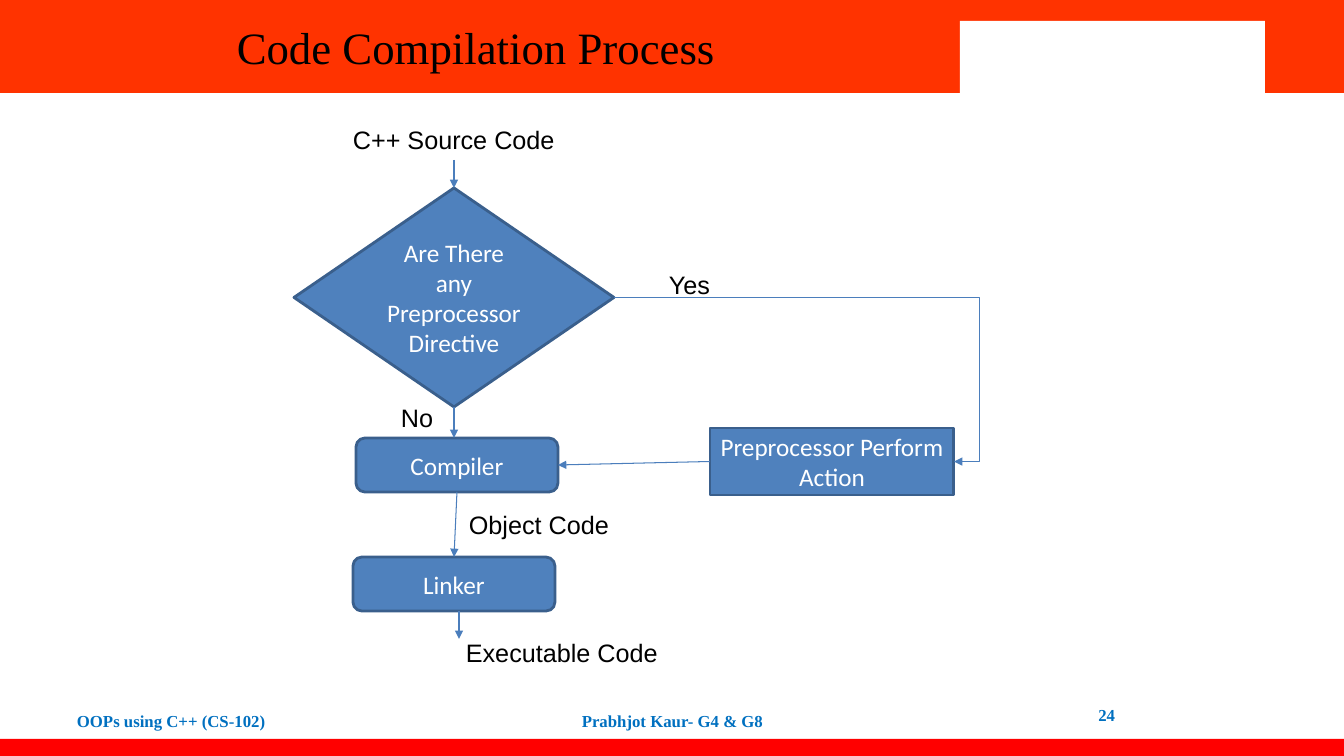
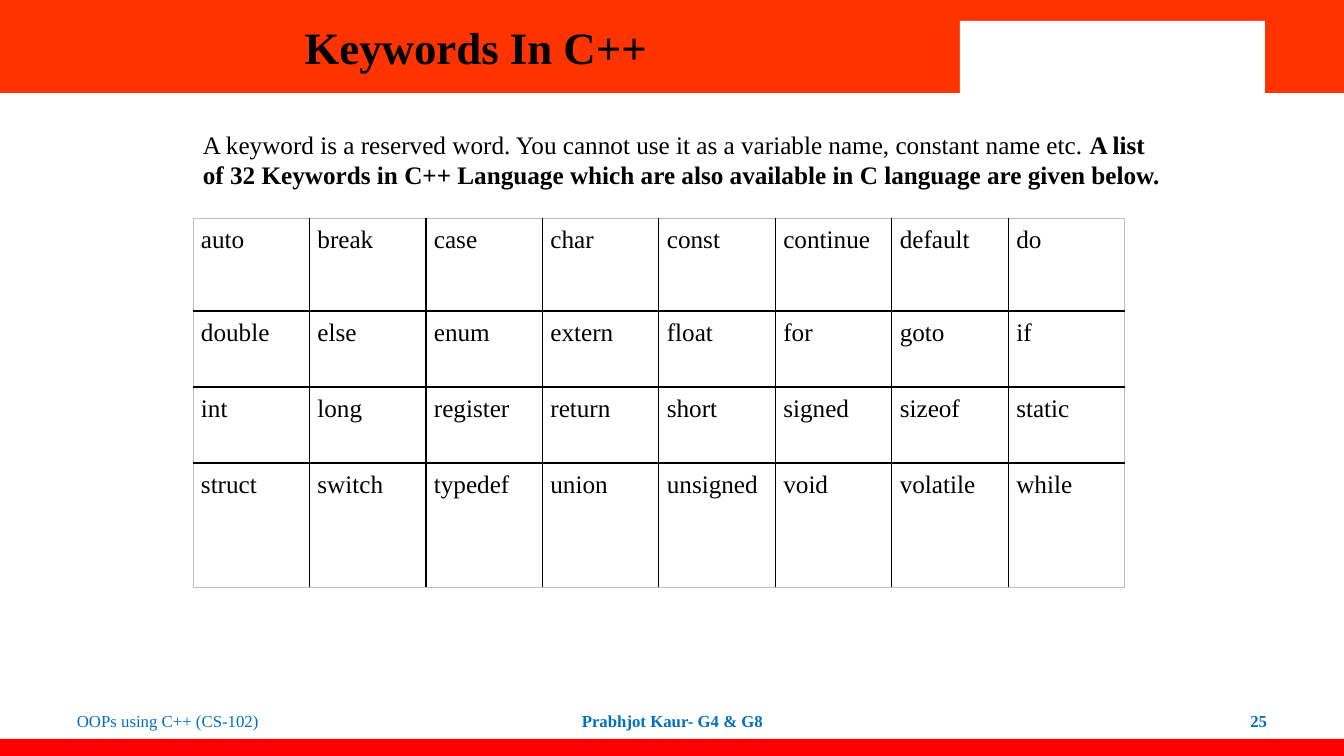
from lxml.etree import SubElement
from pptx import Presentation
from pptx.dml.color import RGBColor
from pptx.enum.shapes import MSO_CONNECTOR, MSO_SHAPE
from pptx.enum.text import MSO_ANCHOR, PP_ALIGN
from pptx.oxml.ns import qn
from pptx.util import Emu, Pt

ORANGE = RGBColor(0xFF, 0x33, 0x00)
RED = RGBColor(0xFF, 0x00, 0x00)
WHITE = RGBColor(0xFF, 0xFF, 0xFF)
BLACK = RGBColor(0x00, 0x00, 0x00)
GREY = RGBColor(0xBF, 0xBF, 0xBF)
BLUE = RGBColor(0x4F, 0x81, 0xBD)
EDGE = RGBColor(0x3A, 0x5F, 0x8C)
WIRE = RGBColor(0x4B, 0x7E, 0xBC)
NOTE = RGBColor(0x00, 0x70, 0xC0)

SERIF = "Times New Roman"
SANS = "Arial"
BODY = "Calibri"

LEFT, MID, RIGHT = PP_ALIGN.LEFT, PP_ALIGN.CENTER, PP_ALIGN.RIGHT
TOP, SIDE, BASE, END = range(4)

BANDS = [
    ((0, 0, 1344, 93), ORANGE),
    ((0, 739, 1344, 17), RED),
    ((903, 0, 441, 93), ORANGE),
    ((960, 21, 305, 75), WHITE),
]

WORDS = [
    "auto break case char const continue default do",
    "double else enum extern float for goto if",
    "int long register return short signed sizeof static",
    "struct switch typedef union unsigned void volatile while",
]


def px(n):
    return Emu(round(n * 914400 / 100.8))


class Deck:
    def __init__(self):
        self.prs = Presentation()
        self.prs.slide_width = px(1344)
        self.prs.slide_height = px(756)
        self.plan = self.prs.slide_layouts[5]
        self.slide = None

    def bands(self):
        first = self.plan.placeholders[0].element
        for num, (area, fill) in enumerate(BANDS, 20):
            band = self.shape(MSO_SHAPE.RECTANGLE, area, fill)
            band.element.xpath("p:nvSpPr/p:cNvPr")[0].set("id", str(num))
            first.addprevious(band.element)

    def page(self, title, bold=False):
        fresh = self.slide is None
        self.slide = self.prs.slides.add_slide(self.plan)
        if fresh:
            self.bands()
        head = self.slide.shapes.title
        head.left, head.top, head.width, head.height = map(px, (0, 0, 952, 93))
        self.put(head.text_frame, [(title, bold)], SERIF, 32, BLACK, MID,
                 MSO_ANCHOR.MIDDLE)

    def put(self, frame, runs, font, size, ink, align, anchor):
        frame.word_wrap = True
        frame.vertical_anchor = anchor
        para = frame.paragraphs[0]
        para.alignment = align
        for words, bold in runs:
            run = para.add_run()
            run.text = words
            run.font.name = font
            run.font.size = Pt(size)
            run.font.bold = bold
            run.font.color.rgb = ink

    def text(self, area, runs, font=SANS, size=18, ink=BLACK, align=LEFT,
             anchor=MSO_ANCHOR.TOP):
        box = self.slide.shapes.add_textbox(*map(px, area))
        self.put(box.text_frame, runs, font, size, ink, align, anchor)

    def shape(self, kind, area, fill):
        item = self.slide.shapes.add_shape(kind, *map(px, area))
        item.shadow.inherit = False
        item.fill.solid()
        item.fill.fore_color.rgb = fill
        item.line.fill.background()
        return item

    def node(self, kind, area, words):
        item = self.shape(kind, area, BLUE)
        item.line.color.rgb = EDGE
        item.line.width = Pt(2)
        self.put(item.text_frame, [(words, False)], BODY, 18, WHITE, MID,
                 MSO_ANCHOR.MIDDLE)
        return item

    def arrow(self, ends, start=None, stop=None, bend=None):
        kind = MSO_CONNECTOR.ELBOW if bend else MSO_CONNECTOR.STRAIGHT
        wire = self.slide.shapes.add_connector(kind, *map(px, ends))
        if start:
            wire.begin_connect(*start)
        if stop:
            wire.end_connect(*stop)
        wire.line.color.rgb = WIRE
        wire.line.width = Pt(0.75)
        SubElement(wire.get_or_add_ln(), qn("a:tailEnd"), type="triangle")
        props = wire.element.spPr
        SubElement(props, qn("a:effectLst"))
        if bend:
            geom = props.find(qn("a:prstGeom"))
            rules = geom.find(qn("a:avLst"))
            if rules is None:
                rules = SubElement(geom, qn("a:avLst"))
            SubElement(rules, qn("a:gd"), name="adj1", fmla=f"val {bend}")

    def border(self, props, side, ink, width):
        line = SubElement(props, qn(f"a:ln{side}"), w=str(Pt(width)))
        fill = SubElement(line, qn("a:solidFill"))
        SubElement(fill, qn("a:srgbClr"), val=str(ink))

    def table(self, area, rows, highs):
        cols = len(rows[0])
        frame = self.slide.shapes.add_table(len(rows), cols, *map(px, area))
        grid = frame.table
        grid.first_row = grid.horz_banding = False
        for row, high in zip(grid.rows, highs):
            row.height = px(high)
        tags = frame.element.iter(qn("a:tc"))
        for num, (cell, tag) in enumerate(zip(grid.iter_cells(), tags)):
            r, c = divmod(num, cols)
            cell.margin_left = cell.margin_right = px(8)
            cell.margin_top = cell.margin_bottom = px(8)
            self.put(cell.text_frame, [(rows[r][c], False)], SERIF, 18,
                     BLACK, PP_ALIGN.JUSTIFY, MSO_ANCHOR.TOP)
            outer = {"L": c == 0, "R": c == cols - 1,
                     "T": r == 0, "B": r == len(rows) - 1}
            for side, rim in outer.items():
                ink, width = (GREY, 0.5) if rim else (BLACK, 1)
                self.border(tag.get_or_add_tcPr(), side, ink, width)
            cell.fill.background()

    def foot(self, num, area, bold):
        parts = [
            ((67, 701, 313, 40), "OOPs using C++ (CS-102)", bold, LEFT),
            ((460, 701, 425, 40), "Prabhjot Kaur- G4 & G8", True, MID),
            (area, num, True, RIGHT),
        ]
        for spot, words, heavy, align in parts:
            self.text(spot, [(words, heavy)], SERIF, 12, NOTE, align,
                      MSO_ANCHOR.MIDDLE)


def flow(deck):
    deck.page("Code Compilation Process")
    deck.foot("24", (890, 695, 235, 40), True)
    ask = deck.node(MSO_SHAPE.FLOWCHART_DECISION, (294, 188, 320, 219),
                    "Are There any Preprocessor Directive")
    build = deck.node(MSO_SHAPE.ROUNDED_RECTANGLE, (356, 438, 202, 54),
                      "Compiler")
    act = deck.node(MSO_SHAPE.RECTANGLE, (710, 428, 244, 67),
                    "Preprocessor Perform Action")
    link = deck.node(MSO_SHAPE.ROUNDED_RECTANGLE, (353, 557, 202, 54),
                     "Linker")
    deck.arrow((454, 160, 454, 188), stop=(ask, TOP))
    deck.arrow((454, 407, 454, 438), start=(ask, BASE))
    deck.arrow((457, 492, 454, 557), (build, BASE), (link, TOP))
    deck.arrow((614, 297, 954, 462), (ask, END), (act, END), 107400)
    deck.arrow((710, 462, 558, 465), (act, SIDE), (build, END))
    deck.arrow((459, 611, 459, 639))
    labels = [
        ((343, 119, 223, 40), "C++ Source Code"),
        ((659, 264, 72, 40), "Yes"),
        ((391, 397, 69, 40), "No"),
        ((459, 504, 175, 40), "Object Code"),
        ((456, 632, 235, 40), "Executable Code"),
    ]
    for area, words in labels:
        deck.text(area, [(words, False)])


def terms(deck):
    deck.page("Keywords In C++", True)
    deck.table((193, 218, 932, 369), [row.split() for row in WORDS],
               (93, 76, 76, 124))
    deck.foot("25", (964, 701, 313, 40), False)
    deck.text((193, 124, 983, 70), [
        ("A keyword is a reserved word. You cannot use it as a variable name, "
         "constant name etc. ", False),
        ("A list of 32 Keywords in C++ Language which are also available in "
         "C language are given below.", True),
    ], SERIF)


def main():
    deck = Deck()
    flow(deck)
    terms(deck)
    deck.prs.save("out.pptx")


if __name__ == "__main__":
    main()
